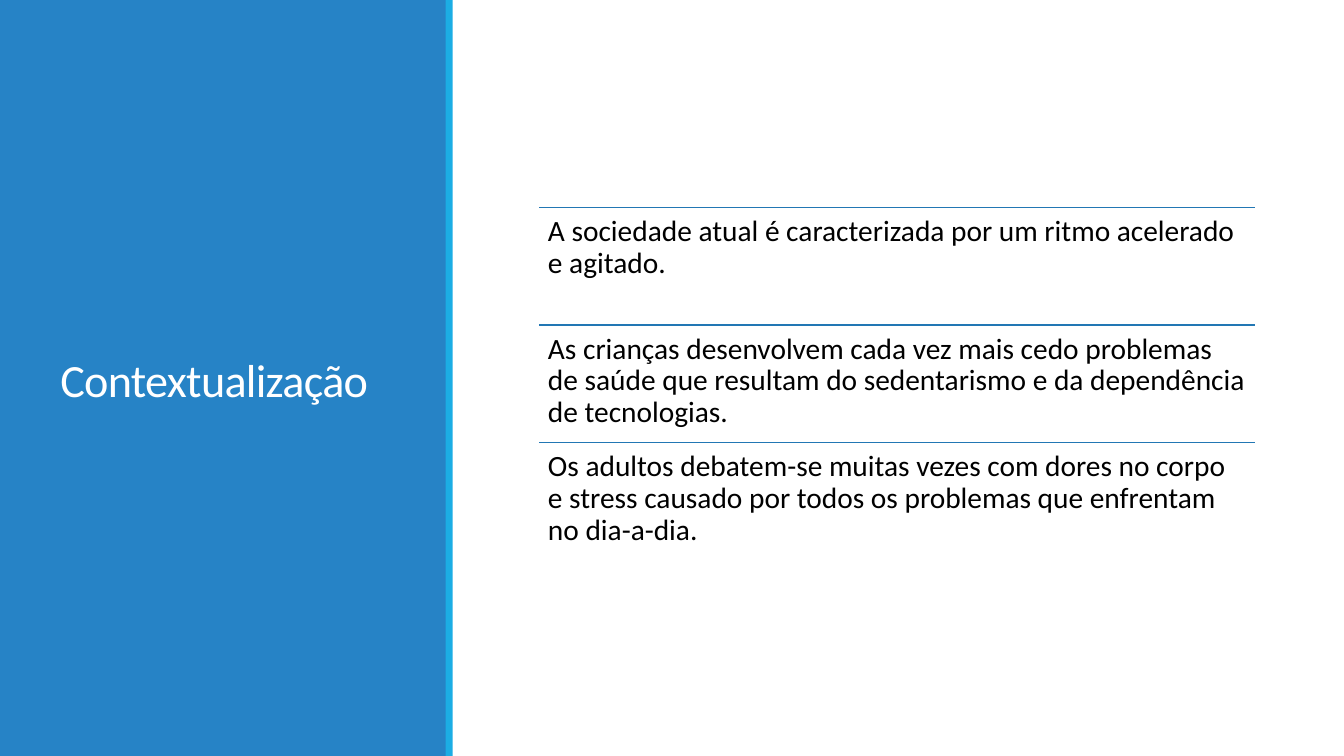
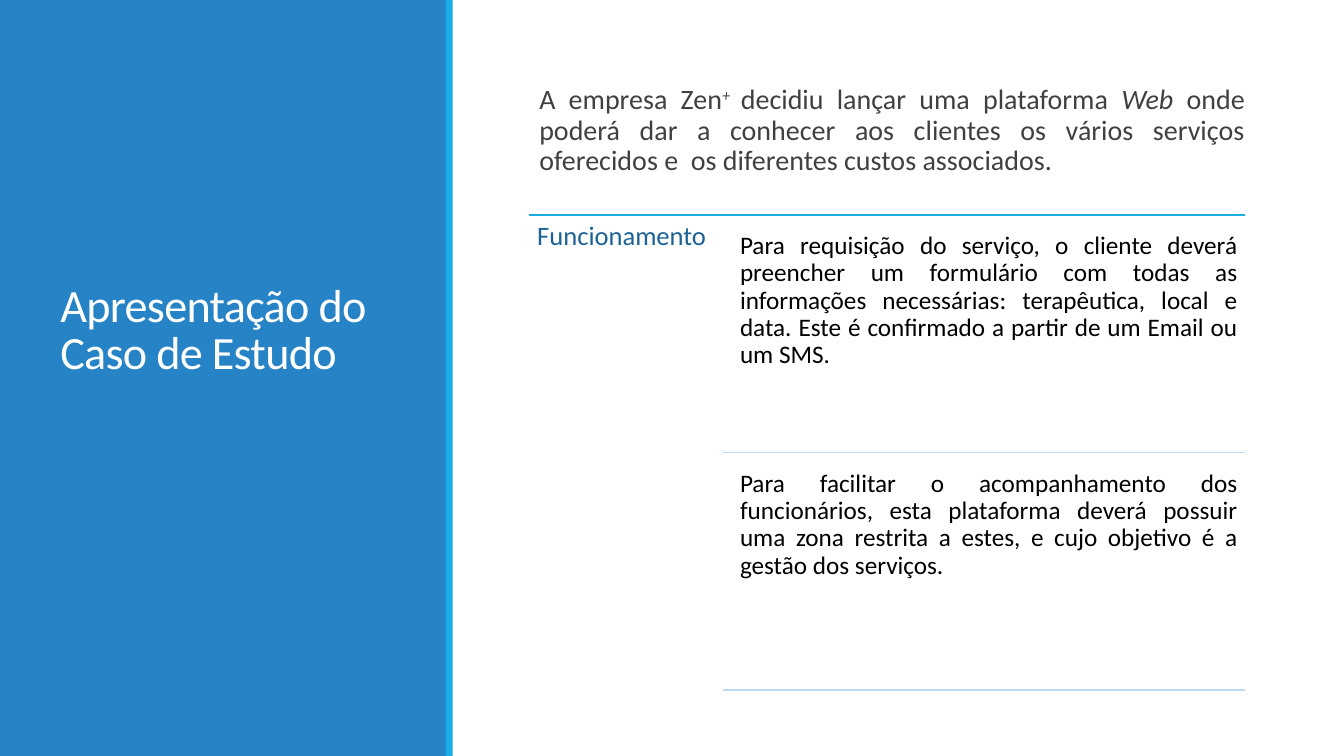
from pptx import Presentation
from pptx.dml.color import RGBColor
from pptx.enum import shapes, text
from pptx.oxml import ns
from pptx.util import Cm, Pt
from lxml import etree

# Shared look
FONT = "Calibri"
BLUE = RGBColor(0x26, 0x83, 0xC6)
CYAN = RGBColor(0x1C, 0xAD, 0xE4)
RULE_BLUE = RGBColor(0x22, 0x77, 0xB4)
PALE_BLUE = RGBColor(0xBD, 0xDB, 0xF2)
DARK_BLUE = RGBColor(0x1D, 0x62, 0x94)
GREY = RGBColor(0x40, 0x40, 0x40)
BLACK = RGBColor(0, 0, 0)
WHITE = RGBColor(0xFF, 0xFF, 0xFF)
JUSTIFY = text.PP_ALIGN.JUSTIFY
PAGE_WIDTH, PAGE_HEIGHT = 33.87, 19.05

# Wording
STATEMENTS = [
    "A sociedade atual é caracterizada por um ritmo acelerado e agitado.",
    "As crianças desenvolvem cada vez mais cedo problemas de saúde que "
    "resultam do sedentarismo e da dependência de tecnologias.",
    "Os adultos debatem-se muitas vezes com dores no corpo e stress causado "
    "por todos os problemas que enfrentam no dia-a-dia.",
]
INTRODUCTION = [
    ("A empresa Zen", {}),
    ("+ ", {"italic": True, "baseline": 30000}),
    ("decidiu lançar uma plataforma ", {}),
    ("Web", {"italic": True}),
    (" onde poderá dar a conhecer aos clientes os vários serviços oferecidos "
     "e  os diferentes custos associados.", {}),
]
FEATURES = [
    "Para requisição do serviço, o cliente deverá preencher um formulário com "
    "todas as informações necessárias: terapêutica, local e data. Este é "
    "confirmado a partir de um Email ou um SMS.",
    "Para facilitar o acompanhamento dos funcionários, esta plataforma deverá "
    "possuir uma zona restrita a estes, e cujo objetivo é a gestão dos serviços.",
]


def apply(target, values):
    for name, value in values.items():
        setattr(target, name, value)


def place(shape, left, top, width, height):
    apply(shape, {"left": Cm(left), "top": Cm(top),
                  "width": Cm(width), "height": Cm(height)})


def set_frame(frame, inset_x, inset_y, anchor=text.MSO_ANCHOR.TOP):
    apply(frame, {
        "word_wrap": True, "auto_size": text.MSO_AUTO_SIZE.NONE,
        "vertical_anchor": anchor,
        "margin_left": Cm(inset_x), "margin_right": Cm(inset_x),
        "margin_top": Cm(inset_y), "margin_bottom": Cm(inset_y)})


def write(para, pieces, size, color, align=text.PP_ALIGN.LEFT, spacing=0.9):
    """Fill a paragraph with (wording, format) pieces."""
    apply(para, {"alignment": align, "line_spacing": spacing,
                 "space_before": Pt(0), "space_after": Pt(0)})
    for wording, extra in pieces:
        span = para.add_run()
        span.text = wording
        apply(span.font, {"name": FONT, "size": Pt(size),
                          "italic": extra.get("italic", False)})
        span.font.color.rgb = color
        if "baseline" in extra:
            span.font._element.set("baseline", str(extra["baseline"]))


def add_text(page, at, wording, size, color, inset, align=text.PP_ALIGN.LEFT):
    box = page.shapes.add_textbox(*map(Cm, at))
    set_frame(box.text_frame, inset, inset)
    write(box.text_frame.paragraphs[0], [(wording, {})], size, color, align)


def add_rule(page, left, right, y, color, width):
    rule = page.shapes.add_connector(
        shapes.MSO_CONNECTOR.STRAIGHT, Cm(left), Cm(y), Cm(right), Cm(y))
    rule.line.color.rgb = color
    rule.line.width = Pt(width)
    etree.SubElement(rule.element.spPr, ns.qn("a:effectLst"))


def add_master_bands(deck, page):
    """Draw the side bands and move them to the master, behind everything."""
    tree = deck.slide_master.shapes.element
    bands = [(0, 11.25, BLUE), (11.23, 0.18, CYAN)]
    for position, (left, width, color) in enumerate(bands, start=2):
        band = page.shapes.add_shape(
            shapes.MSO_SHAPE.RECTANGLE, Cm(left), 0, Cm(width), Cm(PAGE_HEIGHT))
        band.shadow.inherit = False
        band.fill.solid()
        band.fill.fore_color.rgb = color
        band.line.fill.background()
        tree.insert(position, band.element)


def set_title(page, wording, anchor):
    title = page.shapes.title
    place(title, 1.27, 1.65, 8.89, 16.03)
    set_frame(title.text_frame, 0.25, 0.13, anchor)
    para = title.text_frame.paragraphs[0]
    write(para, [(wording, {})], 33, WHITE, spacing=0.85)
    para.runs[0].font._element.set("spc", "-50")
    return title


def set_body(page, pieces):
    body = page.placeholders[1]
    place(body, 13.34, 2.03, 18.03, 14.6)
    set_frame(body.text_frame, 0, 0.13)
    para = body.text_frame.paragraphs[0]
    write(para, pieces, 20, GREY, JUSTIFY)
    apply(para, {"space_before": Pt(12), "space_after": Pt(2)})
    # Indented without a visible bullet
    properties = para._p.get_or_add_pPr()
    properties.set("marL", str(Cm(0.25)))
    properties.set("indent", "0")
    etree.SubElement(properties, ns.qn("a:buNone"))


def build_context(page):
    set_title(page, "Contextualização", text.MSO_ANCHOR.MIDDLE)
    left, top, width, row = 13.59, 5.23, 18.03, 2.96
    for index, statement in enumerate(STATEMENTS):
        y = top + index * row
        add_rule(page, left, left + width, y, RULE_BLUE, 1)
        add_text(page, (left, y, width, row), statement, 21, BLACK, 0.22)


def build_case_study(page):
    title = set_title(page, "Apresentação do Caso de Estudo",
                      text.MSO_ANCHOR.BOTTOM)
    title.text_frame.margin_bottom = Cm(8.13)
    set_body(page, INTRODUCTION)

    # Heading column
    left, right, top = 13.34, 31.37, 5.41
    add_rule(page, left, right, top, CYAN, 1.25)
    add_text(page, (left, top, 4.88, 12.27), "Funcionamento", 19, DARK_BLUE, 0.2)

    # Feature rows, each closed by a pale rule
    height, gap = 5.71, 0.28
    for index, feature in enumerate(FEATURES):
        y = top + gap + index * (height + gap)
        add_text(page, (18.47, y, 12.9, height), feature, 18, BLACK, 0.18, JUSTIFY)
        add_rule(page, 18.21, right, y + height, PALE_BLUE, 1.25)


def main():
    deck = Presentation()
    deck.slide_width, deck.slide_height = Cm(PAGE_WIDTH), Cm(PAGE_HEIGHT)
    title_only, title_and_body = deck.slide_layouts[5], deck.slide_layouts[1]
    context = deck.slides.add_slide(title_only)
    add_master_bands(deck, context)
    build_context(context)
    build_case_study(deck.slides.add_slide(title_and_body))
    deck.save("out.pptx")


main()
